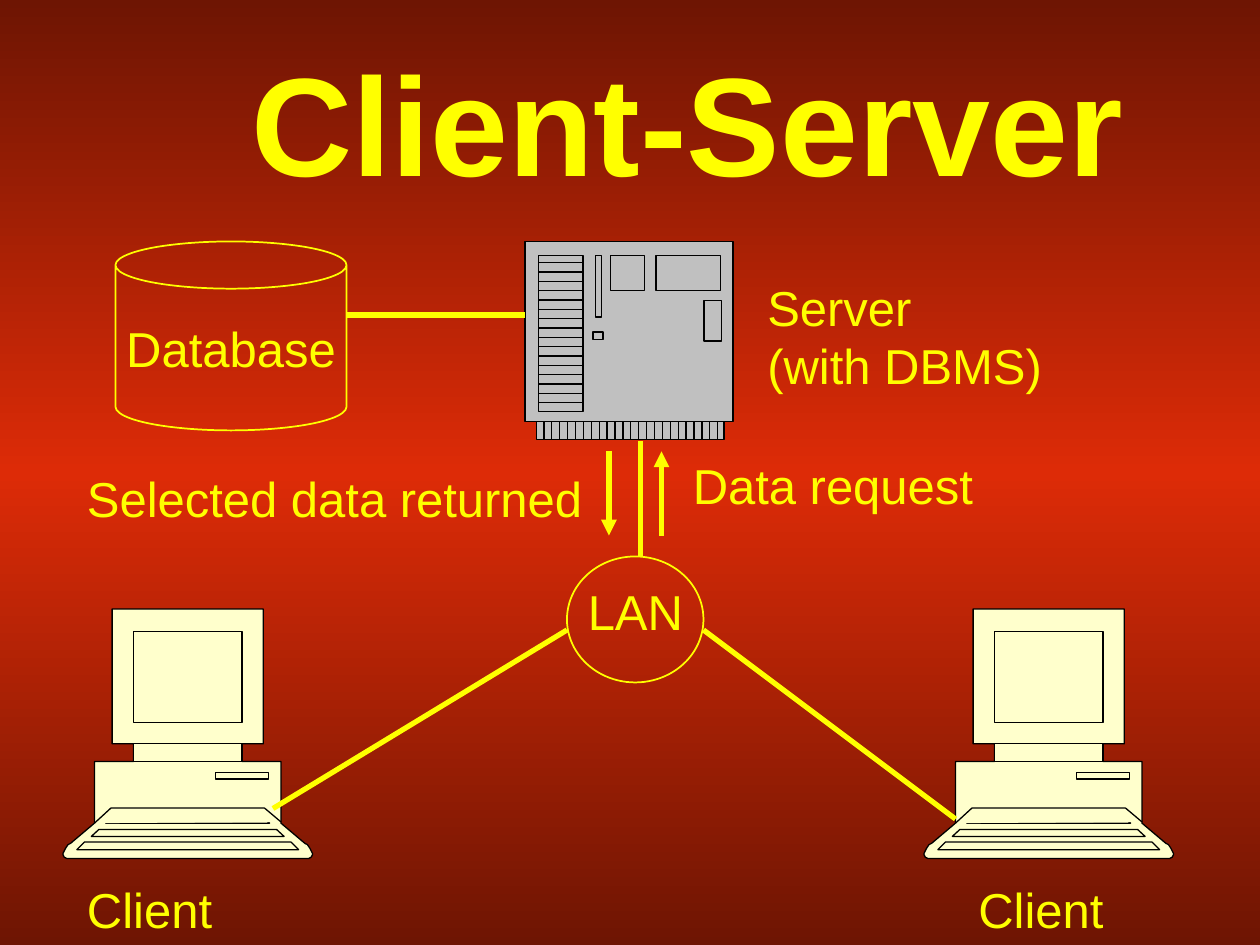
from copy import deepcopy
from dataclasses import dataclass

from lxml.etree import SubElement
from pptx import Presentation
from pptx.dml.color import RGBColor
from pptx.enum.shapes import MSO_CONNECTOR, MSO_SHAPE
from pptx.enum.text import MSO_ANCHOR, MSO_AUTO_SIZE, PP_ALIGN
from pptx.oxml.ns import qn
from pptx.util import Inches, Pt


@dataclass(frozen=True)
class Theme:
    """Colours, font, type sizes and line widths."""
    ink: str = "FFFF00"
    edge: str = "6E1503"
    glow: str = "DD2B07"
    cream: str = "FFFFCC"
    grey: str = "C0C0C0"
    black: str = "000000"
    font: str = "Arial"
    title: int = 80
    label: int = 28
    link: float = 3
    outline: float = 1
    icon: float = 0.75


T = Theme()


def rgb(value):
    """Return a colour from its hex name."""
    return RGBColor.from_string(value)


def g(n):
    """Convert columns or rows of the 120 by 90 grid to a length."""
    return Inches(n / 12)


def write(tf, text, size=T.label, bold=False, align=PP_ALIGN.LEFT,
          anchor=MSO_ANCHOR.TOP, wrap=False, fit=MSO_AUTO_SIZE.SHAPE_TO_FIT_TEXT):
    """Fill a text frame, one paragraph for each line of text."""
    tf.word_wrap, tf.vertical_anchor, tf.auto_size = wrap, anchor, fit
    for i, line in enumerate(text.split("\n")):
        p = tf.add_paragraph() if i else tf.paragraphs[0]
        p.alignment = align
        r = p.add_run()
        r.text = line
        r.font.name, r.font.size, r.font.bold = T.font, Pt(size), bold
        r.font.color.rgb = rgb(T.ink)


def label(s, x, y, w, h, text, **fmt):
    """Place a text box on the grid."""
    write(s.shapes.add_textbox(g(x), g(y), g(w), g(h)).text_frame, text, **fmt)


def outline(s, kind, x, y, w, h):
    """Place an unfilled preset shape on the grid."""
    sp = s.shapes.add_shape(kind, g(x), g(y), g(w), g(h))
    sp.shadow.inherit = False
    sp.fill.background()
    sp.line.color.rgb, sp.line.width = rgb(T.ink), Pt(T.outline)
    return sp


def link(s, x1, y1, x2, y2, arrow=False):
    """Draw a thick line between two grid points."""
    c = s.shapes.add_connector(MSO_CONNECTOR.STRAIGHT, g(x1), g(y1), g(x2), g(y2))
    c.line.color.rgb, c.line.width = rgb(T.ink), Pt(T.link)
    spPr = c._element.spPr
    if arrow:
        SubElement(spPr.find(qn("a:ln")), qn("a:tailEnd"), type="triangle")
    SubElement(spPr, qn("a:effectLst"))


def rect(x1, y1, x2, y2):
    """Return the closed contour of a rectangle."""
    return [(x1, y1), (x2, y1), (x2, y2), (x1, y2), (x1, y1)]


def mirror(half, width):
    """Close a left half with its reflection."""
    whole = half + [(width - x, y) for x, y in reversed(half)]
    return whole + whole[:1]


def icon(s, x, y, contours, fill):
    """Draw contours, in hundredths of an inch from a corner, as one shape."""
    placed = [[(g(x) + Inches(a / 100), g(y) + Inches(b / 100)) for a, b in c]
              for c in contours]
    fb = s.shapes.build_freeform(*placed[0][0], scale=1.0)
    for i, c in enumerate(placed):
        if i:
            fb.move_to(*c[0])
        fb.add_line_segments(c[1:], close=False)
    sp = fb.convert_to_shape()
    sp.shadow.inherit = False
    sp.fill.solid()
    sp.fill.fore_color.rgb = rgb(fill)
    sp.line.color.rgb, sp.line.width = rgb(T.black), Pt(T.icon)
    layers = sp._element.find(".//" + qn("a:pathLst"))
    merged = layers[0]
    for step in list(merged):
        if step.tag == qn("a:moveTo"):
            layer = SubElement(layers, merged.tag, dict(merged.attrib))
        layer.append(step)
    layers.remove(merged)


def background(s):
    """Paint the dark, bright, dark vertical gradient."""
    fill = s.background.fill
    fill.gradient()
    fill.gradient_angle = 90
    stops = s._element.find(".//" + qn("a:gsLst"))
    stops.append(deepcopy(stops[0]))
    for stop, at, colour in zip(fill.gradient_stops, (0, 0.5, 1),
                                (T.edge, T.glow, T.edge)):
        stop.position, stop.color.rgb = at, rgb(colour)


def client(s, x, y, label_x):
    """Draw a desktop computer with its label below."""
    half = [(99, 0), (39, 0), (39, 107), (56, 107), (56, 121), (25, 121),
            (25, 170), (6, 186), (4, 187), (2, 190), (0, 194), (0, 195),
            (1, 197), (3, 198), (6, 198)]
    keys = [mirror([(34 - 11.5 * i, 170 + 10.5 * i), (40 - 11.5 * i, 165 + 10 * i)], 198)
            for i in range(3)]
    deck = [(25, 170), (38, 158), (160, 158), (173, 169)]
    icon(s, x, y, [mirror(half, 198), *keys, deck, rect(121, 130, 163, 135),
                   rect(56, 18, 142, 90), rect(56, 107, 142, 121)], T.cream)
    label(s, label_x, y + 25.2, 14.3, 6.8, "Client")


def server(s, x, y):
    """Draw the server cabinet with its label on the right."""
    case = [(0, 0), (165, 0), (165, 143), (158, 143), (158, 157),
            (9, 157), (9, 143), (0, 143), (0, 0)]
    vents = [[(11, 17 + 7.4 * i), (46, 17 + 7.4 * i)] for i in range(16)]
    pins = [[(15 + 6.27 * i, 143), (15 + 6.27 * i, 157)] for i in range(23)]
    bays = [rect(56, 11, 61, 60), rect(54, 72, 62, 78), rect(68, 11, 95, 39),
            rect(104, 11, 155, 39), rect(142, 47, 156, 79)]
    icon(s, x, y, [case, [(9, 143), (158, 143)], rect(11, 11, 46, 135),
                   *vents, *pins, *bays], T.grey)
    label(s, x + 21.9, y + 2.8, 28.6, 12.5, "Server\n(with DBMS)")


def database(s, x, y, w, h):
    """Draw the database cylinder and its link to the server."""
    sp = outline(s, MSO_SHAPE.CAN, x, y, w, h)
    sp.adjustments[0] = 0.25
    write(sp.text_frame, "Database", align=PP_ALIGN.CENTER,
          anchor=MSO_ANCHOR.MIDDLE, fit=MSO_AUTO_SIZE.NONE)
    link(s, x + w + 17, y + 7, x + w, y + 7)


def network(s, x, y, w, h):
    """Draw the LAN node, its links and the data flows above it."""
    outline(s, MSO_SHAPE.OVAL, x, y, w, h)
    label(s, x + 0.8, y + 1.8, 11.6, 6.8, "LAN")
    link(s, x + 7, y, x + 7, y - 11)
    link(s, x + 4, y - 10, x + 4, y - 2, arrow=True)
    link(s, x + 9, y - 2, x + 9, y - 10, arrow=True)
    label(s, x - 46.9, y - 9, 49.6, 6.8, "Selected data returned")
    label(s, x + 10.8, y - 10.2, 29.3, 6.8, "Data request")
    link(s, x, y + 7, x - 28, y + 24)
    link(s, x + w + 24, y + 25, x + w, y + 7)


def main():
    """Build and save the slide."""
    prs = Presentation()
    prs.slide_width, prs.slide_height = g(120), g(90)
    s = prs.slides.add_slide(prs.slide_layouts[6])
    background(s)
    label(s, 16, 4, 99, 15, "Client-Server", size=T.title, bold=True,
          align=PP_ALIGN.CENTER, anchor=MSO_ANCHOR.MIDDLE, wrap=True,
          fit=MSO_AUTO_SIZE.NONE)
    client(s, 6, 58, label_x=7.1)
    client(s, 88, 58, label_x=92)
    server(s, 50, 23)
    database(s, 11, 23, 22, 18)
    network(s, 54, 53, 13, 12)
    prs.save("out.pptx")


if __name__ == "__main__":
    main()
